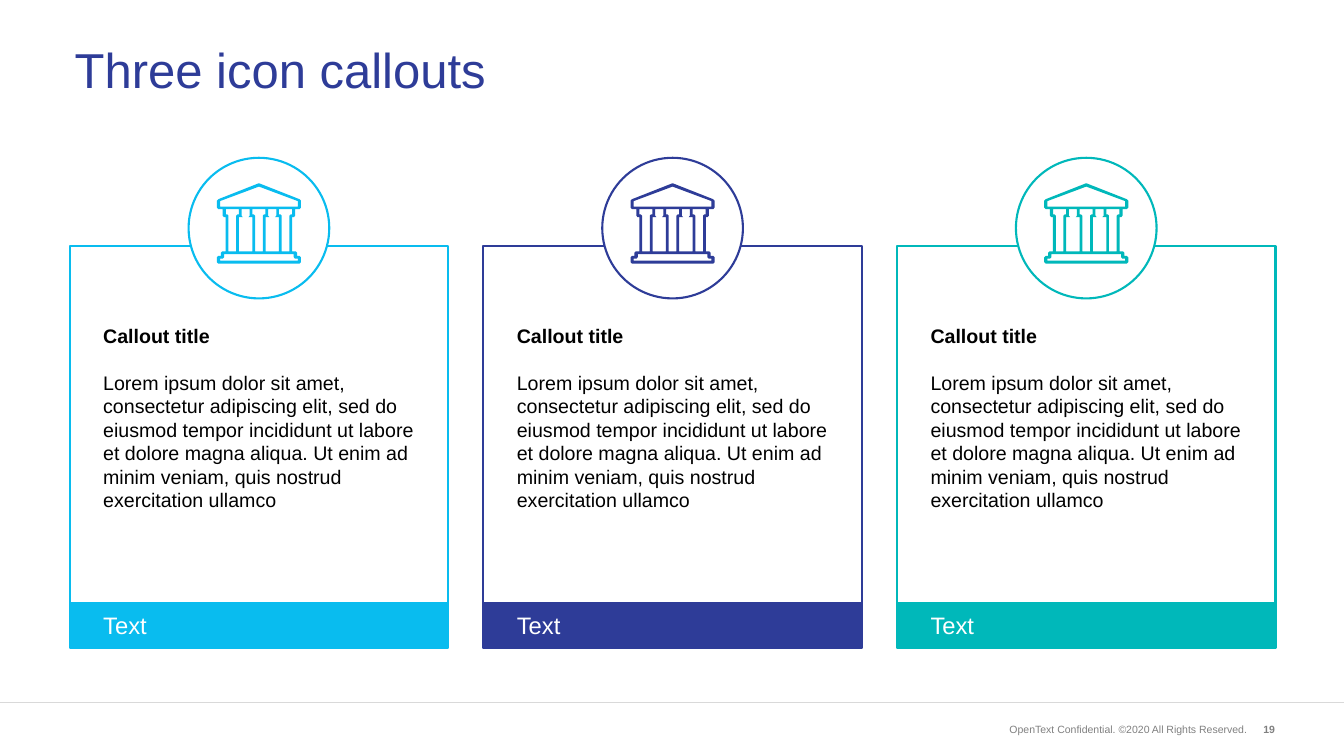
from pptx import Presentation
from pptx.dml.color import RGBColor
from pptx.enum.shapes import MSO_CONNECTOR, MSO_SHAPE
from pptx.enum.text import MSO_ANCHOR, MSO_AUTO_SIZE, PP_ALIGN
from pptx.oxml.ns import qn
from pptx.util import Pt
from lxml import etree

RECTANGLE, OVAL, STRAIGHT = MSO_SHAPE.RECTANGLE, MSO_SHAPE.OVAL, MSO_CONNECTOR.STRAIGHT
TOP, MIDDLE = MSO_ANCHOR.TOP, MSO_ANCHOR.MIDDLE
LEFT, RIGHT = PP_ALIGN.LEFT, PP_ALIGN.RIGHT
GROW = MSO_AUTO_SIZE.SHAPE_TO_FIT_TEXT

SKY = RGBColor(0x09, 0xBC, 0xEF)
INDIGO = RGBColor(0x2E, 0x3C, 0x98)
TEAL = RGBColor(0x00, 0xB8, 0xBA)
WHITE = RGBColor(0xFF, 0xFF, 0xFF)
BLACK = RGBColor(0x00, 0x00, 0x00)
GRAY = RGBColor(0x80, 0x80, 0x80)
RULE_GRAY = RGBColor(0xD9, 0xD9, 0xD9)

FONT = "Arial"
PAGE_WIDTH, PAGE_HEIGHT = 1919.52, 1080
CARD_LEFT, CARD_TOP, CARD_WIDTH, CARD_HEIGHT = 99.4, 351.4, 540.8, 519.8
CARD_PITCH = 590.8
BAR_TOP, BAR_HEIGHT = 861.1, 64.1
CIRCLE_TOP, CIRCLE_SIZE = 225.4, 200.9
ICON_TOP = 262.1
BODY = ("Lorem ipsum dolor sit amet, consectetur adipiscing elit, sed do eiusmod "
        "tempor incididunt ut labore et dolore magna aliqua. Ut enim ad minim "
        "veniam, quis nostrud exercitation ullamco")

# Right halves of the icon's outlines, measured from their axis and the icon top
TEMPLE = [(1, 0), (58, 22.5), (60, 24.5), (60, 34.5), (58, 36.7), (51.8, 36.7),
          (51.8, 46), (50, 48.2), (47.5, 48.2), (47.5, 97), (52.5, 97), (54.5, 99),
          (54.5, 103.5), (58, 103.5), (60, 105.5), (60, 112.5), (58, 114.5)]
ROOF = [(0, 4.5), (55.5, 25.2), (55.5, 33)]
COLUMN = [(9.3, 36.7), (9.3, 44), (7.5, 44), (5.5, 46), (5.5, 97)]
GAP = [(5.8, 36.7), (5.8, 46), (4, 48.2), (9.6, 48.2), (9.6, 97)]
PLINTH = [(49.7, 101), (49.7, 105.3), (51.5, 107.3), (55.5, 107.3), (55.5, 110.2)]
COLUMN_STEP = 38


def format_para(para, size, color, bold=False, align=LEFT):
    para.alignment = align
    para.font.name = FONT
    para.font.size = Pt(size)
    para.font.bold = bold
    para.font.color.rgb = color


def set_insets(frame, left, top, right, bottom):
    frame.margin_left, frame.margin_top = Pt(left), Pt(top)
    frame.margin_right, frame.margin_bottom = Pt(right), Pt(bottom)


def add_outlined(page, kind, left, top, width, height, color, fill):
    shape = page.shapes.add_shape(kind, Pt(left), Pt(top), Pt(width), Pt(height))
    shape.shadow.inherit = False
    shape.fill.solid()
    shape.fill.fore_color.rgb = fill
    shape.line.color.rgb = color
    shape.line.width = Pt(3)
    shape.text_frame.word_wrap = True
    shape.text_frame.vertical_anchor = TOP
    return shape


def add_card(page, left, color):
    # Framed text
    card = add_outlined(page, RECTANGLE, left, CARD_TOP, CARD_WIDTH, CARD_HEIGHT,
                        color, WHITE)
    frame = card.text_frame
    set_insets(frame, 48, 110.9, 48, 3.6)
    heading = frame.paragraphs[0]
    heading.text = "Callout title"
    format_para(heading, 28, BLACK, bold=True)
    body = frame.add_paragraph()
    body.text = BODY
    body.space_before = Pt(33.6)
    format_para(body, 28, BLACK)

    # Coloured bar at the foot
    bar = add_outlined(page, RECTANGLE, left, BAR_TOP, CARD_WIDTH, BAR_HEIGHT,
                       color, color)
    set_insets(bar.text_frame, 48, 11.5, 7.2, 11.5)
    label = bar.text_frame.paragraphs[0]
    label.text = "Text"
    format_para(label, 34, WHITE)
    bar.text_frame.auto_size = GROW

    # Icon in its circle
    center = left + CARD_WIDTH / 2
    add_outlined(page, OVAL, center - CIRCLE_SIZE / 2, CIRCLE_TOP, CIRCLE_SIZE,
                 CIRCLE_SIZE, color, WHITE)
    add_temple_icon(page, center, color)


def mirrored(half, axis):
    """Close a right half outline with its mirror image about the axis."""
    points = half + [(-x, y) for x, y in reversed(half)]
    return [(Pt(axis + x), Pt(ICON_TOP + y)) for x, y in points]


def add_temple_icon(page, center, color):
    outer, *holes = (
        [mirrored(half, center) for half in (TEMPLE, ROOF, PLINTH)]
        + [mirrored(COLUMN, center + step * COLUMN_STEP) for step in (-1, 0, 1)]
        + [mirrored(GAP, center + step * COLUMN_STEP) for step in (-0.5, 0.5)])
    builder = page.shapes.build_freeform(*outer[0])
    builder.add_line_segments(outer[1:])
    for hole in holes:
        builder.move_to(*hole[0])
        builder.add_line_segments(hole[1:])
    icon = builder.convert_to_shape()
    icon.shadow.inherit = False
    icon.fill.solid()
    icon.fill.fore_color.rgb = color
    icon.line.fill.background()


def add_footer_text(page, text, left, width, anchor, bold=False):
    box = page.shapes.add_textbox(Pt(left), Pt(1029.6), Pt(width), Pt(25.2))
    frame = box.text_frame
    frame.word_wrap = True
    frame.auto_size = GROW
    frame.vertical_anchor = anchor
    para = frame.paragraphs[0]
    para.text = text
    format_para(para, 15, GRAY, bold, RIGHT)


def add_footer(page):
    rule = page.shapes.add_connector(STRAIGHT, 0, Pt(1003.7), Pt(PAGE_WIDTH), Pt(1003.7))
    rule.line.color.rgb = RULE_GRAY
    rule.line.width = Pt(1)
    etree.SubElement(rule._element.spPr, qn("a:effectLst"))
    add_footer_text(page, "OpenText Confidential. ©2020 All Rights Reserved.",
                    1401.8, 386.6, MIDDLE)
    add_footer_text(page, "19", 1777, 51.1, TOP, bold=True)


def set_title(page, text):
    title = page.shapes.title
    title.left, title.top = Pt(99.4), Pt(27.4)
    title.width, title.height = Pt(1721.5), Pt(152.6)
    title.text_frame.vertical_anchor = MIDDLE
    para = title.text_frame.paragraphs[0]
    para.text = text
    para.line_spacing = 0.9
    format_para(para, 70, INDIGO)


def main():
    deck = Presentation()
    deck.slide_width, deck.slide_height = Pt(PAGE_WIDTH), Pt(PAGE_HEIGHT)
    page = deck.slides.add_slide(deck.slide_layouts[5])
    set_title(page, "Three icon callouts")
    add_footer(page)
    for index, color in enumerate((SKY, INDIGO, TEAL)):
        add_card(page, CARD_LEFT + index * CARD_PITCH, color)
    deck.save("out.pptx")


if __name__ == "__main__":
    main()
